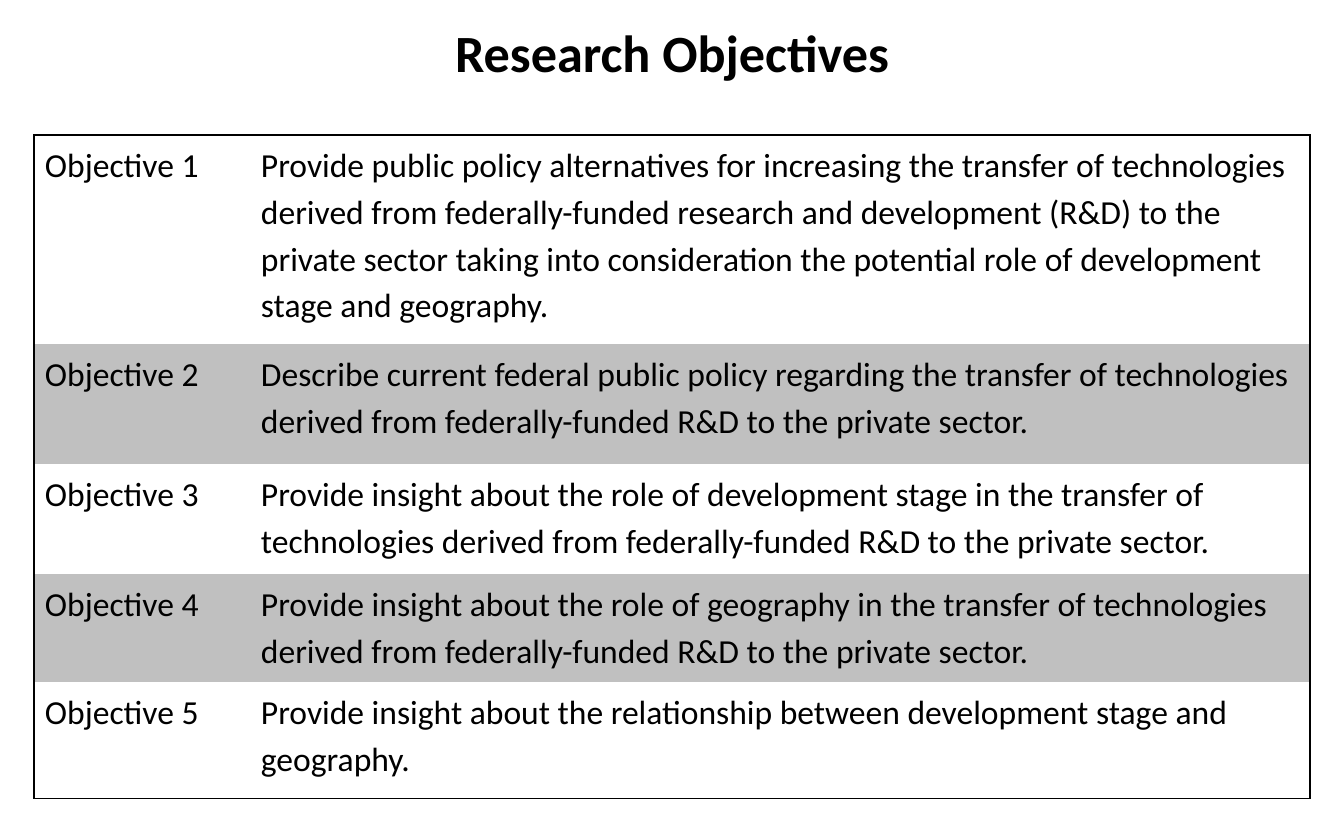
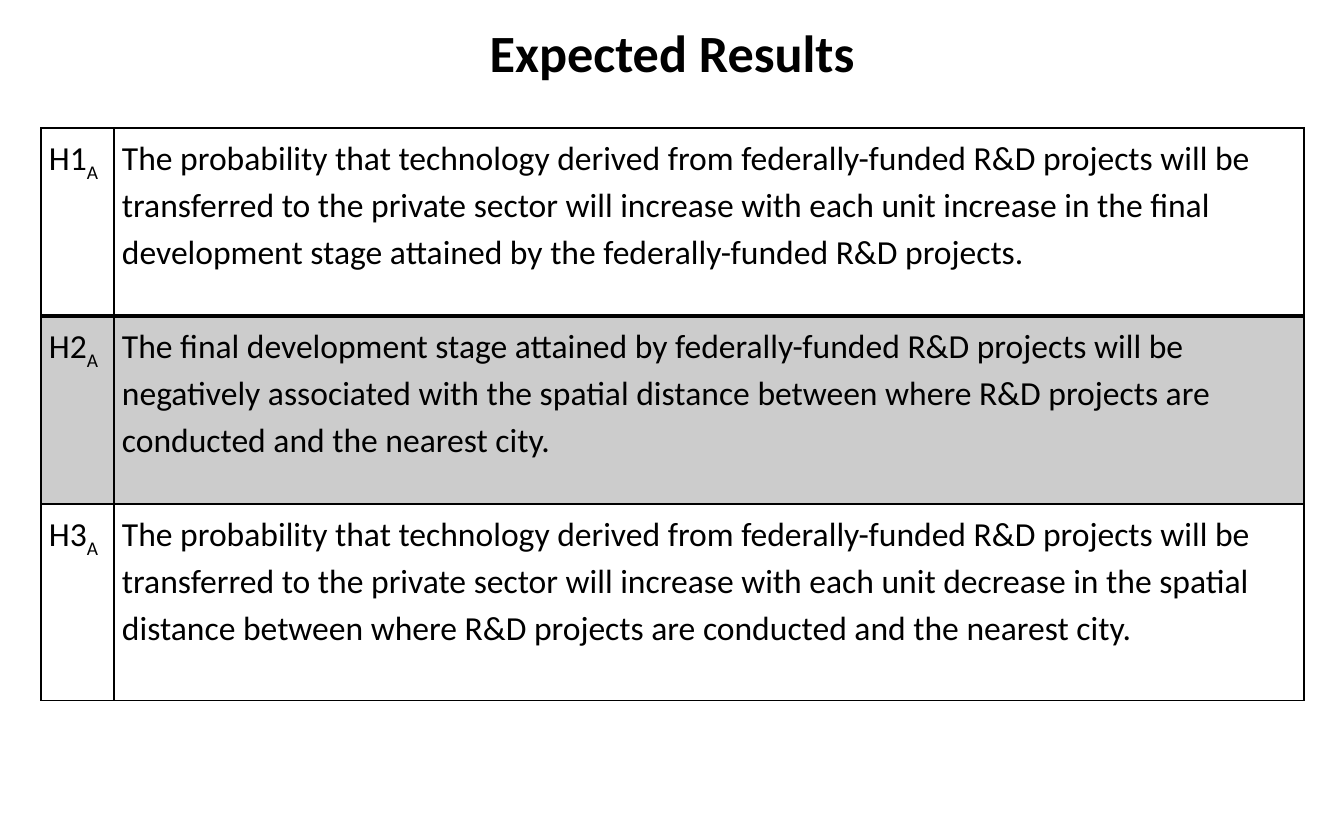
from lxml.etree import SubElement
from pptx import Presentation
from pptx.dml.color import RGBColor
from pptx.enum.text import MSO_ANCHOR, MSO_AUTO_SIZE, PP_ALIGN
from pptx.oxml.ns import qn
from pptx.util import Pt

OBJECTIVES = [
    ("Objective 1", "Provide public policy alternatives for increasing the transfer of technologies "
     "derived from federally-funded research and development (R&D) to the private sector taking "
     "into consideration the potential role of development stage and geography."),
    ("Objective 2", "Describe current federal public policy regarding the transfer of technologies "
     "derived from federally-funded R&D to the private sector."),
    ("Objective 3", "Provide insight about the role of development stage in the transfer of "
     "technologies derived from federally-funded R&D to the private sector."),
    ("Objective 4", "Provide insight about the role of geography in the transfer of technologies "
     "derived from federally-funded R&D to the private sector."),
    ("Objective 5", "Provide insight about the relationship between development stage and geography."),
]
HYPOTHESES = [
    ("H1", "The probability that technology derived from federally-funded R&D projects will be "
     "transferred to the private sector will increase with each unit increase in the final "
     "development stage attained by the federally-funded R&D projects."),
    ("H2", "The final development stage attained by federally-funded R&D projects will be "
     "negatively associated with the spatial distance between where R&D projects are conducted "
     "and the nearest city."),
    ("H3", "The probability that technology derived from federally-funded R&D projects will be "
     "transferred to the private sector will increase with each unit decrease in the spatial "
     "distance between where R&D projects are conducted and the nearest city."),
]

BLACK = RGBColor(0x00, 0x00, 0x00)
SILVER = RGBColor(0xC0, 0xC0, 0xC0)
FONT = "Calibri"
THIN, HEAVY = 0.75, 2
NO_GRID_STYLE = "{2D5ABB26-0587-4C30-8999-92F81FD0307C}"

PAGES = [
    dict(title="Research Objectives", rows=OBJECTIVES, left=34, top=135,
         widths=(216, 1060), heights=(209, 120, 110, 108, 117), margins=(11, 5),
         spacing=1.14, band=SILVER),
    dict(title="Expected Results", rows=HYPOTHESES, left=41, top=128,
         widths=(73, 1190), heights=(188, 188, 197), margins=(8, 4),
         spacing=1.15, band=BLACK, band_alpha=20, subscript="A", grid=True, heavy_after=0),
]


def px(length):
    return round(length * 914400 / 134.4)


def add_text(para, text, size=18, bold=False, baseline=0):
    span = para.add_run()
    span.text = text
    font = span.font
    font.name, font.size, font.bold = FONT, Pt(size), bold
    font.color.rgb = BLACK
    if baseline:
        font._element.set("baseline", str(baseline * 1000))


def add_title(page, text):
    title = page.shapes.title
    title.left, title.top, title.width, title.height = px(0), px(13), px(1344), px(77)
    frame = title.text_frame
    frame.word_wrap = True
    frame.auto_size = MSO_AUTO_SIZE.SHAPE_TO_FIT_TEXT
    frame.vertical_anchor = MSO_ANCHOR.TOP
    para = frame.paragraphs[0]
    para.alignment = PP_ALIGN.CENTER
    add_text(para, text, size=28, bold=True)


def add_border(cell, side, points):
    line = SubElement(cell._tc.get_or_add_tcPr(), qn("a:ln" + side), w=str(Pt(points)))
    fill = SubElement(line, qn("a:solidFill"))
    SubElement(fill, qn("a:srgbClr"), val=str(BLACK))


def fill_cell(cell, color, alpha):
    cell.fill.solid()
    cell.fill.fore_color.rgb = color
    if alpha < 100:
        swatch = cell._tc.tcPr.find(qn("a:solidFill")).find(qn("a:srgbClr"))
        SubElement(swatch, qn("a:alpha"), val=str(alpha * 1000))


def add_grid(page, rows, left, top, widths, heights, margins, spacing, band,
             band_alpha=100, subscript="", grid=False, heavy_after=None):
    last_row, last_column = len(rows) - 1, len(widths) - 1
    table = page.shapes.add_table(len(rows), len(widths), px(left), px(top),
                                  px(sum(widths)), px(sum(heights))).table
    table.first_row = table.horz_banding = False
    table._tbl.tblPr.find(qn("a:tableStyleId")).text = NO_GRID_STYLE
    for column, width in zip(table.columns, widths):
        column.width = px(width)
    for row_index, (row, height) in enumerate(zip(table.rows, heights)):
        row.height = px(height)
        for column_index, cell in enumerate(row.cells):
            cell.margin_left = cell.margin_right = px(margins[0])
            cell.margin_top = cell.margin_bottom = px(margins[1])
            para = cell.text_frame.paragraphs[0]
            para.line_spacing = spacing
            add_text(para, rows[row_index][column_index])
            if subscript and column_index == 0:
                add_text(para, subscript, baseline=-25)
            edges = [("L", column_index == 0, None), ("R", column_index == last_column, None),
                     ("T", row_index == 0, row_index - 1), ("B", row_index == last_row, row_index)]
            for side, outer, row_above in edges:
                if grid or outer:
                    heavy = row_above is not None and row_above == heavy_after
                    add_border(cell, side, HEAVY if heavy else THIN)
            if row_index % 2:
                fill_cell(cell, band, band_alpha)
            else:
                cell.fill.background()


def main():
    deck = Presentation()
    deck.slide_width, deck.slide_height = px(1344), px(840)
    for content in PAGES:
        page = deck.slides.add_slide(deck.slide_layouts[5])
        add_title(page, content["title"])
        add_grid(page, **{key: value for key, value in content.items() if key != "title"})
    deck.save("out.pptx")


if __name__ == "__main__":
    main()
